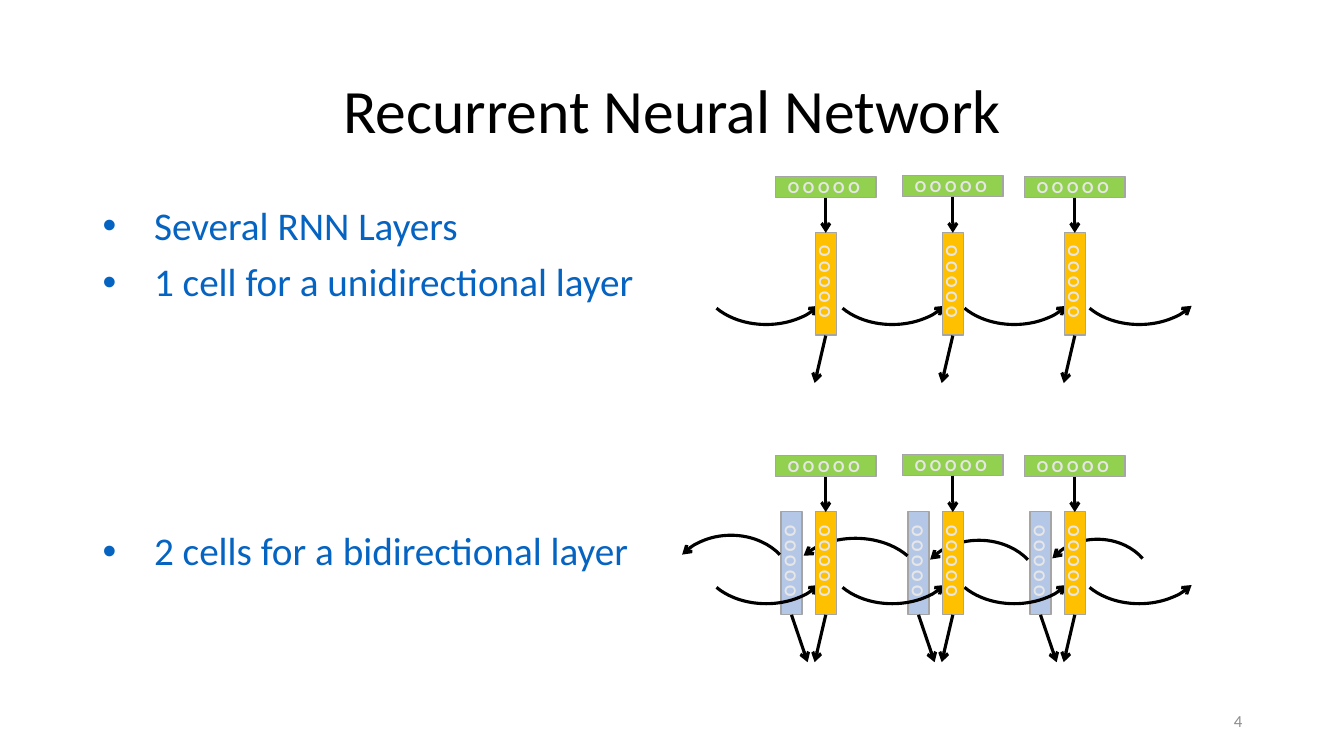
from pptx import Presentation
from pptx.dml.color import RGBColor
from pptx.enum.shapes import MSO_CONNECTOR, MSO_SHAPE
from pptx.enum.text import MSO_ANCHOR, PP_ALIGN
from pptx.oxml.ns import qn
from pptx.util import Inches, Pt
from lxml.etree import SubElement

deck = Presentation()
deck.slide_width, deck.slide_height = Inches(13.33), Inches(7.5)
slide = deck.slides.add_slide(deck.slide_layouts[6])
shapes = slide.shapes


def write(frame, text, size, color, align=PP_ALIGN.LEFT, anchor=MSO_ANCHOR.TOP,
          bold=False, line=1.0, gaps=(0,), bullet=False):
    frame.word_wrap = True
    frame.vertical_anchor = anchor
    frame.text = text
    for para, gap in zip(frame.paragraphs, gaps):
        if bullet:
            props = para._p.get_or_add_pPr()
            props.set("marL", str(Inches(0.51)))
            props.set("indent", str(-Inches(0.51)))
            SubElement(props, qn("a:buFont")).set("typeface", "Arial")
            SubElement(props, qn("a:buChar")).set("char", "•")
        para.alignment = align
        para.line_spacing = line
        para.space_before = Pt(gap)
        font = para.runs[0].font
        font.name, font.size, font.bold = "Calibri", Pt(size), bold
        font.color.rgb = RGBColor.from_string(color)


def ink(item, color, width, tip=None):
    item.line.color.rgb = RGBColor.from_string(color)
    item.line.width = Pt(width)
    if tip:
        SubElement(item.line._get_or_add_ln(), qn(tip)).set("type", "arrow")


title = shapes.add_textbox(Inches(0.92), Inches(0.4), Inches(11.5), Inches(1.45))
write(title.text_frame, "Recurrent Neural Network", 44, "000000",
      align=PP_ALIGN.CENTER, anchor=MSO_ANCHOR.MIDDLE, line=0.9)
page = shapes.add_textbox(Inches(9.42), Inches(6.95), Inches(3), Inches(0.4))
write(page.text_frame, "4", 12, "8C8C8C", align=PP_ALIGN.RIGHT, anchor=MSO_ANCHOR.MIDDLE)
body = shapes.add_textbox(Inches(0.92), Inches(2), Inches(11.5), Inches(4.76))
write(body.text_frame,
      "Several RNN Layers\n1 cell for a unidirectional layer\n2 cells for a bidirectional layer",
      28, "0563C1", line=0.9, gaps=(0, 10, 162), bullet=True)

cols = [8.19, 9.45, 10.66]
lifts = [0, 0.01, 0]
long, thin = 1.02, 0.21
mid, foot = 0.96, 1.58
back = [(9.1, 0.84, 1.22, 0.98), (10.33, 0.83, 1.11, 0.93),
        (7.81, 0.82, 1.35, 0.98), (6.64, 0.79, 1.22, 0.98)]
front = [(x, 0.54, 1.3, 0.93) for x in (9.41, 8.2, 6.95, 10.65)]

for top, both in ((1.75, False), (4.52, True)):
    blue = [(x - 0.34, mid, long, "B4C7E7", 90) for x in cols] if both else []
    green = [(x - 0.5, -lift, 1, "92D050", 0) for x, lift in zip(cols, lifts)]
    gold = [(x - long / 2, mid, long, "FFC000", 90) for x in cols]
    blue = [(x - long / 2, *rest) for x, *rest in blue]

    layers = []
    for group in (blue, green + gold):
        boxes = []
        for x, y, wide, color, turn in group:
            box = shapes.add_shape(MSO_SHAPE.RECTANGLE, Inches(x), Inches(top + y),
                                   Inches(wide), Inches(thin))
            box.rotation = turn
            box.shadow.inherit = False
            box.fill.solid()
            box.fill.fore_color.rgb = RGBColor.from_string(color)
            ink(box, "A5A5A5", 1)
            write(box.text_frame, "O O O O O ", 12, "E7E6E6", bold=True,
                  align=PP_ALIGN.CENTER, anchor=MSO_ANCHOR.MIDDLE)
            boxes.append(box)
        layers.append(boxes)
        if group is not blue:
            continue
        arcs = [(spot, "a:headEnd", 197.145) for spot in back if both]
        arcs += [(spot, "a:tailEnd", 199.001) for spot in front]
        for (x, y, wide, high), tip, stop in arcs:
            arc = shapes.add_shape(MSO_SHAPE.ARC, Inches(x), Inches(top + y),
                                   Inches(wide), Inches(high))
            arc.adjustments[0], arc.adjustments[1] = 126.945, stop
            arc.shadow.inherit = False
            arc.fill.background()
            ink(arc, "000000", 2.25, tip)
            if tip == "a:tailEnd":
                arc._element.spPr.find(qn("a:xfrm")).set("flipV", "1")

    blues, rest = layers
    greens, golds = rest[:3], rest[3:]
    links = []
    for i, x in enumerate(cols):
        links.append((x, thin - lifts[i], x, 0.56, greens[i], 2, golds[i]))
        links.append((x, foot, x - 0.11, 2.05, golds[i], 3, None))
        if both:
            links.append((x - 0.34, foot, x - 0.18, 2.05, blues[i], 3, None))
    for x1, y1, x2, y2, start, side, end in links:
        link = shapes.add_connector(MSO_CONNECTOR.STRAIGHT, 0, 0, 0, 0)
        link.begin_connect(start, side)
        if end:
            link.end_connect(end, 1)
        link.begin_x, link.begin_y = Inches(x1), Inches(top + y1)
        link.end_x, link.end_y = Inches(x2), Inches(top + y2)
        ink(link, "000000", 2.25, "a:tailEnd")
        SubElement(link._element.spPr, qn("a:effectLst"))

deck.save("out.pptx")
